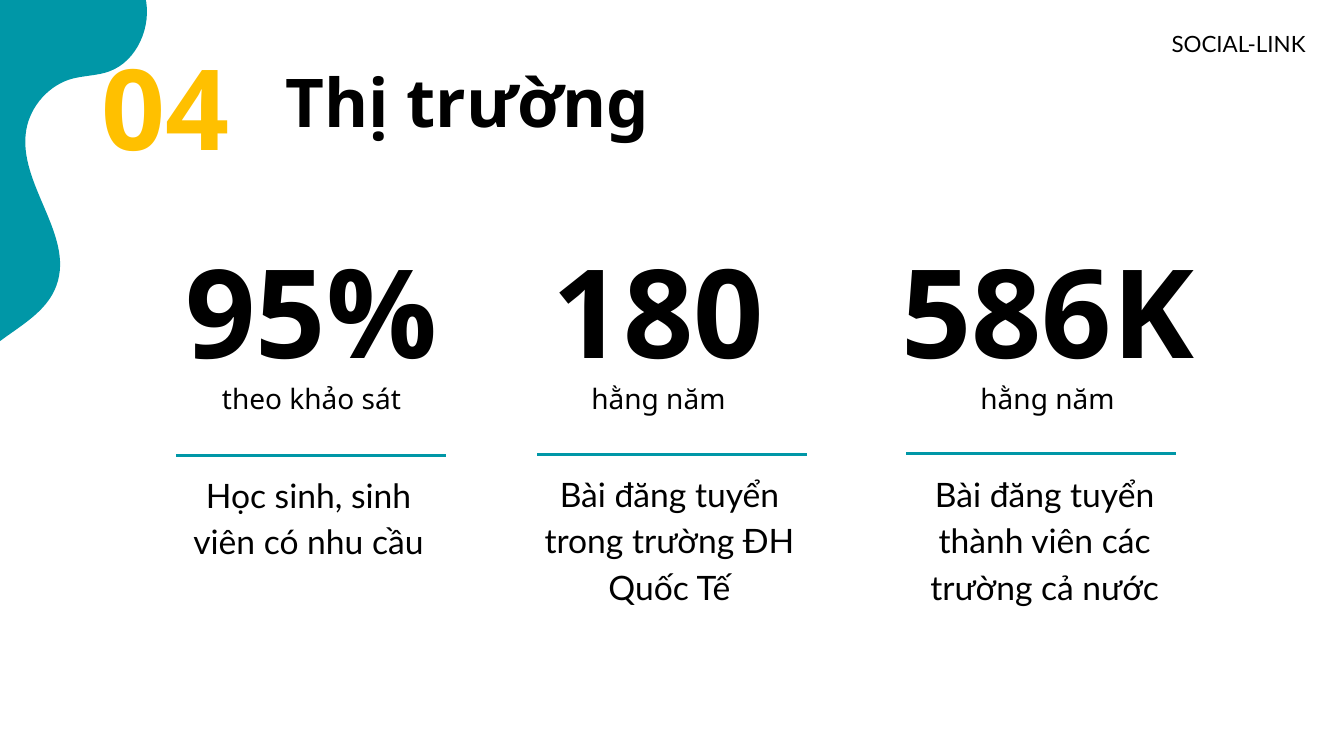
import math

from lxml import etree
from pptx import Presentation
from pptx.dml.color import RGBColor
from pptx.enum.shapes import MSO_CONNECTOR
from pptx.enum.text import MSO_ANCHOR, MSO_AUTO_SIZE, PP_ALIGN
from pptx.oxml.ns import qn
from pptx.util import Inches, Pt

TEAL = RGBColor(0x00, 0x97, 0xA7)
AMBER = RGBColor(0xFF, 0xC0, 0x00)
BLACK = RGBColor(0, 0, 0)
HEAD, BODY = "Noto Sans", "Lato"
LEFT, CENTER = PP_ALIGN.LEFT, PP_ALIGN.CENTER
TOP, MIDDLE = MSO_ANCHOR.TOP, MSO_ANCHOR.MIDDLE
STRAIGHT = MSO_CONNECTOR.STRAIGHT
TITLE_ONLY = 5

prs = Presentation()
prs.slide_width, prs.slide_height = Inches(13.33), Inches(7.5)
s = prs.slides.add_slide(prs.slide_layouts[TITLE_ONLY])


def add_text(text, box, size, font=HEAD, color=BLACK, bold=False, align=LEFT,
             anchor=TOP, spacing=0.9, indent=0, caption=None, sp=None):
    """Write text, and a smaller caption below it, in a new box or in sp."""
    sp = sp or s.shapes.add_textbox(0, 0, 0, 0)
    sp.left, sp.top, sp.width, sp.height = [Inches(v) for v in box]
    tf = sp.text_frame
    tf.word_wrap, tf.auto_size = True, MSO_AUTO_SIZE.NONE
    tf.vertical_anchor = anchor
    tf.margin_left = tf.margin_right = Inches(0.13)
    tf.margin_top = tf.margin_bottom = Inches(0.13)
    lines = [(text, size, bold)]
    if caption:
        lines.append((caption, 20, False))
    for i, (line, pt, heavy) in enumerate(lines):
        p = tf.add_paragraph() if i else tf.paragraphs[0]
        p.alignment, p.line_spacing = align, spacing
        p.space_before = Pt(0)
        if indent:
            pPr = p._p.get_or_add_pPr()
            pPr.set("marL", str(Inches(indent)))
            pPr.set("indent", "0")
        r = p.add_run()
        r.text = line
        r.font.name, r.font.size, r.font.bold = font, Pt(pt), heavy
        r.font.color.rgb = color


# Teal wave in the corner: a start point, then Bezier segments
wave_x, wave_y, wave_w, wave_h, wave_turn = -2.55, -1.18, 3.67, 7.44, 34.5
segments = [
    (0.7, -1),
    (0.43, -1.18, 0.13, -1.04, -0.29, -0.91),
    (-0.42, -0.87, -0.54, -0.82, -0.64, -0.73),
    (-0.8, -0.58, -0.88, -0.35, -0.9, -0.13),
    (-0.92, 0.2, -0.83, 0.53, -0.81, 0.86),
    (-0.75, 1.62, -1.1, 2.39, -1.7, 2.86),
    (-1.9, 3.01, -2.13, 3.13, -2.32, 3.3),
    (-2.75, 3.67, -2.98, 4.25, -2.91, 4.81),
    (-2.86, 5.31, -2.57, 5.78, -2.16, 6.06),
    (-2.1, 6.1, -2.05, 6.13, -1.99, 6.16),
    (-1.83, 6.25, -1.65, 6.31, -1.47, 6.29),
    (-1.11, 6.26, -0.83, 5.95, -0.72, 5.61),
    (-0.6, 5.28, -0.6, 4.91, -0.57, 4.56),
    (-0.54, 4.2, -0.46, 3.83, -0.21, 3.57),
    (0.03, 3.3, 0.44, 3.17, 0.56, 2.83),
    (0.74, 2.33, 0.17, 1.82, 0.26, 1.29),
    (0.3, 1.05, 0.49, 0.84, 0.72, 0.78),
    (0.84, 0.75, 0.97, 0.75, 1.08, 0.71),
    (1.36, 0.61, 1.51, 0.26, 1.44, -0.03),
    (1.38, -0.32, 0.88, -0.82, 0.88, -0.82),
    (0.82, -0.9, 0.76, -0.96, 0.7, -1),
]
builder = s.shapes.build_freeform(0, 0)
builder.add_line_segments([(Inches(wave_w), Inches(wave_h))])
wave = builder.convert_to_shape()
wave.left, wave.top = Inches(wave_x), Inches(wave_y)
wave.rotation = wave_turn
wave.shadow.inherit = False
wave.fill.solid()
wave.fill.fore_color.rgb = TEAL
wave.line.fill.background()

# Turn the points back into the unrotated frame and write the curves
outline = next(wave._element.iter(qn("a:path")))
for child in list(outline):
    outline.remove(child)
mid_x, mid_y = wave_x + wave_w / 2, wave_y + wave_h / 2
cos, sin = math.cos(math.radians(wave_turn)), math.sin(math.radians(wave_turn))
for segment in segments:
    tag = "a:moveTo" if len(segment) == 2 else "a:cubicBezTo"
    curve = etree.SubElement(outline, qn(tag))
    for x, y in zip(segment[::2], segment[1::2]):
        dx, dy = x - mid_x, y - mid_y
        etree.SubElement(curve, qn("a:pt"), {
            "x": str(Inches(wave_w / 2 + dx * cos + dy * sin)),
            "y": str(Inches(wave_h / 2 - dx * sin + dy * cos))})
etree.SubElement(outline, qn("a:close"))

# Heading and project name
add_text("Thị trường", (2.7, 0.56, 3.97, 1.38), 48, bold=True,
         sp=s.shapes.title)
add_text("04", (0.88, 0.71, 3.52, 0.84), 80, color=AMBER, bold=True,
         anchor=MIDDLE)
add_text("SOCIAL-LINK", (11.27, 0.13, 2.06, 0.56), 16, font=BODY,
         spacing=1.15, indent=0.22)

# Columns: figure, caption, figure left/width, rule left/top, note, note left/top/width
columns = [
    ("95%", "theo khảo sát", 1.62, 2.94, 1.75, 4.52,
     "Học sinh, sinh viên có nhu cầu", 1.38, 4.52, 3.14),
    ("180", "hằng năm", 5.32, 2.42, 5.33, 4.51,
     "Bài đăng tuyển trong trường ĐH Quốc Tế", 4.96, 4.51, 3.14),
    ("586K", "hằng năm", 8.64, 3.5, 8.99, 4.5,
     "Bài đăng tuyển thành viên các trường cả nước", 8.64, 4.51, 3.22),
]
for (figure, caption, fig_x, fig_w, rule_x, rule_y,
     note, note_x, note_y, note_w) in columns:
    add_text(figure, (fig_x, 2.37, fig_w, 1.38), 88, bold=True, align=CENTER,
             caption=caption)
    add_text(note, (note_x, note_y, note_w, 1.05), 24, font=BODY,
             align=CENTER, spacing=1.15, indent=0.22)
    rule = s.shapes.add_connector(STRAIGHT, Inches(rule_x), Inches(rule_y),
                                  Inches(rule_x + 2.67), Inches(rule_y))
    rule.line.color.rgb, rule.line.width = TEAL, Pt(2.25)
    etree.SubElement(rule._element.spPr, qn("a:effectLst"))

prs.save("out.pptx")
